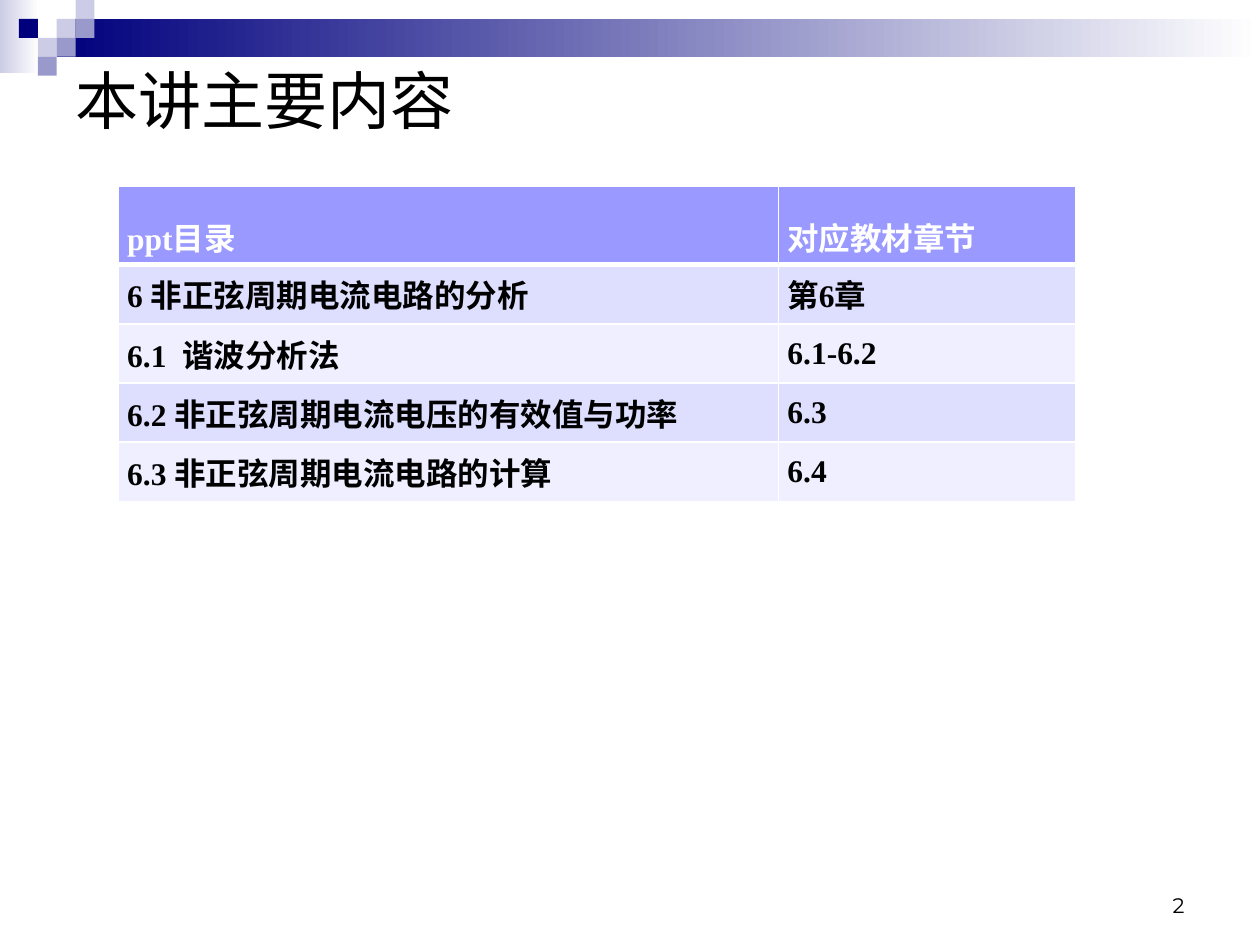
"""Build the lecture contents slide with its chapter table."""
import pptx
import pptx.dml.color
import pptx.enum.shapes
import pptx.enum.text
import pptx.oxml
import pptx.oxml.ns
import pptx.util

Pt = pptx.util.Pt
ALIGN = pptx.enum.text.PP_ALIGN
ANCHOR = pptx.enum.text.MSO_ANCHOR
COLOURS = {
    "navy": "00007D", "lavender": "CCCCE6", "violet": "9999CC",
    "header": "9999FF", "band_dark": "DEDEFF", "band_light": "EFEFFF",
    "white": "FFFFFF", "black": "000000",
}
CHINESE_FONT = "Noto Sans CJK SC"
SQUARE = 10.8
SQUARES = [
    (3, 1, "lavender"), (4, 0, "lavender"), (4, 1, "violet"), (2, 2, "lavender"),
    (1, 1, "navy"), (3, 2, "violet"), (2, 3, "violet"),
]
COLUMN_WIDTHS = [377.3, 169.9]
ROW_HEIGHTS = [44.6] + [33.84] * 4
CONTENTS = [
    ("ppt目录", "对应教材章节"),
    ("6 非正弦周期电流电路的分析", "第6章"),
    ("6.1  谐波分析法", "6.1-6.2"),
    ("6.2 非正弦周期电流电压的有效值与功率", "6.3"),
    ("6.3 非正弦周期电流电路的计算", "6.4"),
]


def colour(name):
    return pptx.dml.color.RGBColor.from_string(COLOURS[name])


def add_rectangle(slide, left, top, width, height, *fill_names):
    shape = slide.shapes.add_shape(
        pptx.enum.shapes.MSO_SHAPE.RECTANGLE, Pt(left), Pt(top), Pt(width), Pt(height))
    shape.shadow.inherit = False
    shape.line.fill.background()
    if len(fill_names) == 1:
        shape.fill.solid()
        shape.fill.fore_color.rgb = colour(fill_names[0])
    else:
        shape.fill.gradient()
        shape.fill.gradient_angle = 0
        for stop, name in zip(shape.fill.gradient_stops, fill_names):
            stop.color.rgb = colour(name)


def add_run(paragraph, text, font_name, size, colour_name, bold=False):
    run = paragraph.add_run()
    run.text = text
    run.font.name = font_name
    run.font.size = Pt(size)
    run.font.bold = bold
    run.font.color.rgb = colour(colour_name)
    latin = run.font._element.find(pptx.oxml.ns.qn("a:latin"))
    latin.addnext(pptx.oxml.parse_xml(
        f'<a:ea {pptx.oxml.ns.nsdecls("a")} typeface="{CHINESE_FONT}"/>'))


def add_text(slide, left, top, width, height, text, font_name, size, align, anchor):
    box = slide.shapes.add_textbox(Pt(left), Pt(top), Pt(width), Pt(height))
    frame = box.text_frame
    frame.word_wrap = True
    frame.vertical_anchor = anchor
    paragraph = frame.paragraphs[0]
    paragraph.alignment = align
    add_run(paragraph, text, font_name, size, "black")


def set_borders(cell, top_width, bottom_width):
    properties = cell._tc.get_or_add_tcPr()
    widths = {"lnL": 1, "lnR": 1, "lnT": top_width, "lnB": bottom_width}
    for index, (side, width) in enumerate(widths.items()):
        properties.insert(index, pptx.oxml.parse_xml(
            f'<a:{side} {pptx.oxml.ns.nsdecls("a")} w="{Pt(width)}"><a:solidFill>'
            f'<a:srgbClr val="{COLOURS["white"]}"/></a:solidFill></a:{side}>'))


def fill_cell(cell, text, row):
    is_header = row == 0
    cell.margin_left = cell.margin_right = Pt(5)
    cell.margin_top = cell.margin_bottom = Pt(0)
    cell.vertical_anchor = ANCHOR.MIDDLE
    cell.fill.solid()
    band = "band_dark" if row % 2 else "band_light"
    cell.fill.fore_color.rgb = colour("header" if is_header else band)
    paragraph = cell.text_frame.paragraphs[0]
    paragraph.alignment = ALIGN.JUSTIFY
    if is_header:
        paragraph.line_spacing = 1.5
    add_run(paragraph, text, "Times New Roman", 18, "white" if is_header else "black", True)
    set_borders(cell, 3 if row == 1 else 1, 3 if is_header else 1)


def add_contents_table(slide):
    table = slide.shapes.add_table(
        len(CONTENTS), len(COLUMN_WIDTHS), Pt(67.7), Pt(106.6),
        Pt(sum(COLUMN_WIDTHS)), Pt(sum(ROW_HEIGHTS))).table
    for column, width in zip(table.columns, COLUMN_WIDTHS):
        column.width = Pt(width)
    for row, (height, texts) in enumerate(zip(ROW_HEIGHTS, CONTENTS)):
        table.rows[row].height = Pt(height)
        for column, text in enumerate(texts):
            fill_cell(table.cell(row, column), text, row)


def add_banner(slide):
    add_rectangle(slide, 0, 0, 22.3, 41.8, "lavender", "white")
    add_rectangle(slide, 32.4, SQUARE, 687.6, 2 * SQUARE, "navy", "white")
    for column, row, name in SQUARES:
        add_rectangle(slide, column * SQUARE, row * SQUARE, SQUARE, SQUARE, name)


def main():
    presentation = pptx.Presentation()
    presentation.slide_width = Pt(720)
    presentation.slide_height = Pt(540)
    slide = presentation.slides.add_slide(presentation.slide_layouts[6])
    add_banner(slide)
    add_text(slide, 36, 36, 648, 41.8, "本讲主要内容", CHINESE_FONT, 36,
             ALIGN.LEFT, ANCHOR.MIDDLE)
    add_contents_table(slide)
    add_text(slide, 516, 492, 168, 36, "2", "Montserrat", 12, ALIGN.RIGHT, ANCHOR.BOTTOM)
    presentation.save("out.pptx")


if __name__ == "__main__":
    main()
